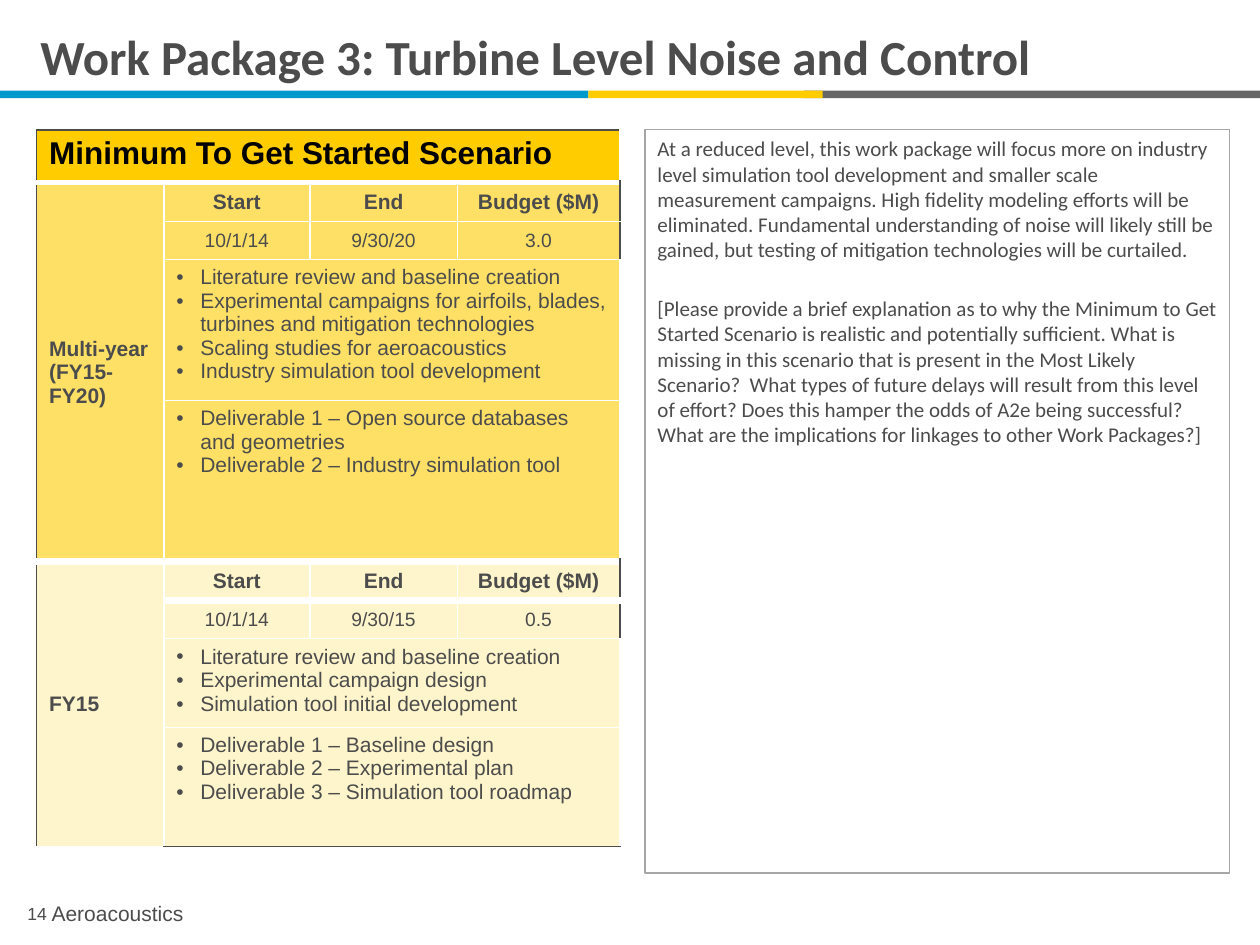
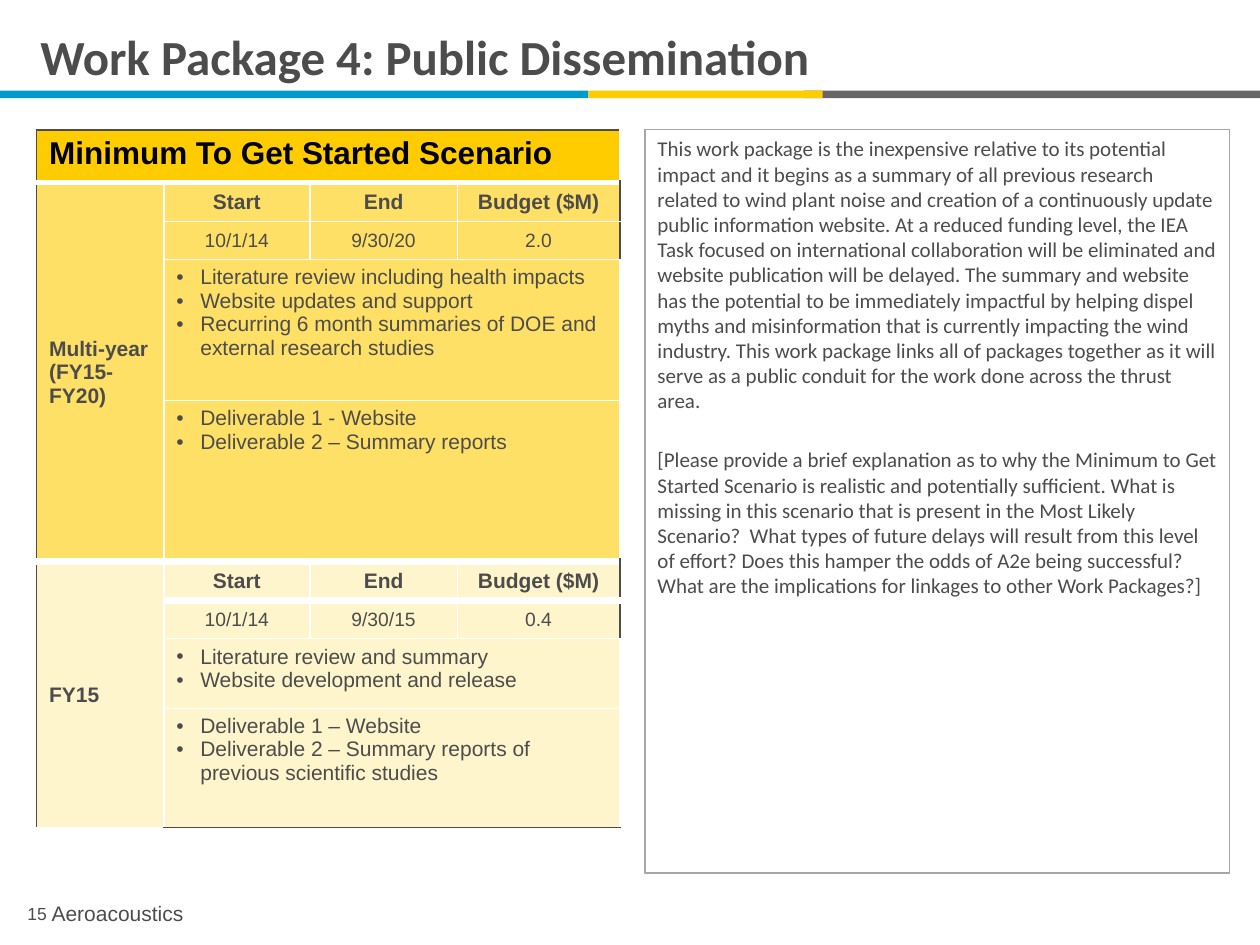
from lxml import etree
from pptx import Presentation
from pptx.dml.color import RGBColor
from pptx.enum.shapes import MSO_SHAPE
from pptx.enum.text import MSO_ANCHOR, PP_ALIGN
from pptx.oxml.ns import qn
from pptx.util import Inches, Pt

RECTANGLE = MSO_SHAPE.RECTANGLE
TOP, MIDDLE = MSO_ANCHOR.TOP, MSO_ANCHOR.MIDDLE
LEFT, CENTER = PP_ALIGN.LEFT, PP_ALIGN.CENTER

# Content
SCENARIO = "Minimum To Get Started Scenario"
COLUMN_HEADS = ("Start", "End", "Budget ($M)")
FOOTER = "Aeroacoustics"
FIRST_PAGE = 14
PROMPT = (
    "[Please provide a brief explanation as to why the Minimum to Get Started Scenario is "
    "realistic and potentially sufficient. What is missing in this scenario that is present in "
    "the Most Likely Scenario?  What types of future delays will result from this level of "
    "effort? Does this hamper the odds of A2e being successful? What are the implications for "
    "linkages to other Work Packages?]"
)
WORK_PACKAGES = [
    {
        "title": "Work Package 3: Turbine Level Noise and Control",
        "rationale": (
            "At a reduced level, this work package will focus more on industry level simulation "
            "tool development and smaller scale measurement campaigns. High fidelity modeling "
            "efforts will be eliminated. Fundamental understanding of noise will likely still be "
            "gained, but testing of mitigation technologies will be curtailed."
        ),
        "budgets": ("3.0", "0.5"),
        "tasks": (
            ["Literature review and baseline creation",
             "Experimental campaigns for airfoils, blades, turbines and mitigation technologies",
             "Scaling studies for aeroacoustics",
             "Industry simulation tool development"],
            ["Literature review and baseline creation",
             "Experimental campaign design",
             "Simulation tool initial development"],
        ),
        "deliverables": (
            ["Deliverable 1 – Open source databases and geometries",
             "Deliverable 2 – Industry simulation tool"],
            ["Deliverable 1 – Baseline design",
             "Deliverable 2 – Experimental plan",
             "Deliverable 3 – Simulation tool roadmap"],
        ),
    },
    {
        "title": "Work Package 4: Public Dissemination",
        "rationale": (
            "This work package is the inexpensive relative to its potential impact and it begins "
            "as a summary of all previous research related to wind plant noise and creation of a "
            "continuously update public information website. At a reduced funding level, the IEA "
            "Task focused on international collaboration will be eliminated and website "
            "publication will be delayed. The summary and website has the potential to be "
            "immediately impactful by helping dispel myths and misinformation that is currently "
            "impacting the wind industry. This work package links all of packages together as it "
            "will serve as a public conduit for the work done across the thrust area."
        ),
        "budgets": ("2.0", "0.4"),
        "tasks": (
            ["Literature review including health impacts",
             "Website updates and support",
             "Recurring 6 month summaries of DOE and external research studies"],
            ["Literature review and summary",
             "Website development and release"],
        ),
        "deliverables": (
            ["Deliverable 1 - Website",
             "Deliverable 2 – Summary reports"],
            ["Deliverable 1 – Website",
             "Deliverable 2 – Summary reports of previous scientific studies"],
        ),
    },
]

# Shared look
INK, BLACK, WHITE, PANEL_EDGE = "4C4C4C", "000000", "FFFFFF", "A6A6A6"
GOLD, BLUE, GREY = "FFCC00", "0099CC", "666666"
BANDS = [(0, 4.67, BLUE), (6.38, 3.62, GREY), (4.67, 1.86, GOLD)]
BAND_TOP, BAND_HEIGHT = 0.72, 0.06

# Scenario table: each period takes four rows below the heading row
PERIODS = [("Multi-year (FY15-FY20)", "10/1/14", "9/30/20", "FFE066"),
           ("FY15", "10/1/14", "9/30/15", "FFF5CC")]
ROWS_PER_PERIOD = 4
COLUMN_WIDTHS = [1.01, 1.16, 1.17, 1.29]
ROW_HEIGHTS = [0.42, 0.31, 0.3, 1.12, 1.28, 0.31, 0.3, 0.55, 0.95]
RULE_WEIGHTS = [1, 3, 1, 1, 0.5, 4.5, 4.5, 1, 0.5, 1]
BULLET_INDENT = 0.19


def color(hex_code):
    return RGBColor.from_string(hex_code)


def write(frame, text, size=12, font="Arial", ink=INK, bold=False, align=LEFT, anchor=TOP,
          bullet=False, before=0, after=0, spacing=None):
    """Fill a text frame with one string, or with one paragraph per list item."""
    frame.word_wrap = True
    frame.vertical_anchor = anchor
    lines = [text] if isinstance(text, str) else text
    for number, line in enumerate(lines):
        paragraph = frame.paragraphs[0] if number == 0 else frame.add_paragraph()
        paragraph.alignment = align
        paragraph.space_before = Pt(before if number else 0)
        paragraph.space_after = Pt(after)
        if spacing:
            paragraph.line_spacing = spacing
        if bullet:
            properties = paragraph._p.get_or_add_pPr()
            properties.set("marL", str(Inches(BULLET_INDENT)))
            properties.set("indent", str(-Inches(BULLET_INDENT)))
            etree.SubElement(properties, qn("a:buFont"), typeface="Arial")
            etree.SubElement(properties, qn("a:buChar"), char="•")
        run = paragraph.add_run()
        run.text = line
        run.font.size, run.font.name, run.font.bold = Pt(size), font, bold
        run.font.color.rgb = color(ink)


def add_text(slide, box, text, **style):
    textbox = slide.shapes.add_textbox(*map(Inches, box))
    write(textbox.text_frame, text, **style)
    return textbox


def add_bands(slide):
    for left, width, fill in BANDS:
        band = slide.shapes.add_shape(
            RECTANGLE, *map(Inches, (left, BAND_TOP, width, BAND_HEIGHT)))
        band.shadow.inherit = False
        band.fill.solid()
        band.fill.fore_color.rgb = color(fill)
        band.line.fill.background()


def add_title(slide, text):
    title = slide.shapes.title
    title.left, title.top, title.width, title.height = map(Inches, (0.22, 0, 9.54, 0.89))
    write(title.text_frame, text, size=28, font="Calibri", bold=True, anchor=MIDDLE)


def add_footer(slide, page):
    add_text(slide, (0.05, 7.14, 0.49, 0.26), str(page), size=10, align=CENTER, spacing=0.9)
    footer = add_text(slide, (0.41, 7.1, 7.74, 0.3), FOOTER, anchor=MIDDLE, after=6)
    footer.text_frame.margin_left = footer.text_frame.margin_right = 0


def add_border(cell, side, weight, ink):
    line = etree.SubElement(cell._tc.get_or_add_tcPr(), qn("a:ln" + side), w=str(Pt(weight)))
    fill = etree.SubElement(line, qn("a:solidFill"))
    etree.SubElement(fill, qn("a:srgbClr"), val=ink)


def period_of(row):
    return (row - 1) // ROWS_PER_PERIOD


def style_cell(table, row, column):
    """Draw the outer frame dark and inner rules white, leaving out edges inside merged cells."""
    cell = table.cell(row, column)
    last_row, last_column = len(ROW_HEIGHTS) - 1, len(COLUMN_WIDTHS) - 1
    step = (row - 1) % ROWS_PER_PERIOD
    wide = row == 0 or (step >= 2 and column > 0)
    tall = row > 0 and column == 0
    if column in (0, 1) or not wide:
        add_border(cell, "L", 1, INK if column == 0 else WHITE)
    if column == last_column or not wide or column == 0 < row:
        add_border(cell, "R", 1, INK if column == last_column else WHITE)
    if not tall or step == 0:
        # the side labels and the cells beside them share the period's top rule
        add_border(cell, "T", RULE_WEIGHTS[row], INK if row == 0 else WHITE)
    if not tall or step == ROWS_PER_PERIOD - 1:
        add_border(cell, "B", RULE_WEIGHTS[row + 1], INK if row == last_row else WHITE)
    cell.fill.solid()
    cell.fill.fore_color.rgb = color(PERIODS[period_of(row)][-1] if row else GOLD)


def fill_cell(table, row, column, text, anchor=MIDDLE, **style):
    cell = table.cell(row, column)
    write(cell.text_frame, text, **style)
    cell.vertical_anchor = anchor


def add_scenario_table(slide, package):
    frame = slide.shapes.add_table(
        len(ROW_HEIGHTS), len(COLUMN_WIDTHS),
        *map(Inches, (0.29, 1.03, sum(COLUMN_WIDTHS), sum(ROW_HEIGHTS))))
    table = frame.table
    table.first_row = table.horz_banding = False
    for column, width in enumerate(COLUMN_WIDTHS):
        table.columns[column].width = Inches(width)
    for row, height in enumerate(ROW_HEIGHTS):
        table.rows[row].height = Inches(height)
        for column in range(len(COLUMN_WIDTHS)):
            style_cell(table, row, column)

    table.cell(0, 0).merge(table.cell(0, 3))
    fill_cell(table, 0, 0, SCENARIO, anchor=TOP, size=18, ink=BLACK, bold=True)
    for index, (label, start, end, _) in enumerate(PERIODS):
        head = 1 + index * ROWS_PER_PERIOD
        table.cell(head, 0).merge(table.cell(head + ROWS_PER_PERIOD - 1, 0))
        fill_cell(table, head, 0, label, bold=True)
        values = (start, end, package["budgets"][index])
        for column, (name, value) in enumerate(zip(COLUMN_HEADS, values), 1):
            fill_cell(table, head, column, name, bold=True, align=CENTER)
            fill_cell(table, head + 1, column, value, size=11, align=CENTER)
        for row, part in enumerate(("tasks", "deliverables"), head + 2):
            table.cell(row, 1).merge(table.cell(row, 3))
            fill_cell(table, row, 1, package[part][index], anchor=TOP, bullet=True)


def add_rationale(slide, text):
    panel = add_text(slide, (5.12, 1.03, 4.64, 5.9), [text, PROMPT], font="Calibri", before=19.3)
    panel.line.color.rgb = color(PANEL_EDGE)
    panel.line.width = Pt(0.75)


def main():
    deck = Presentation()
    deck.slide_width, deck.slide_height = Inches(10), Inches(7.5)
    title_only = deck.slide_layouts.get_by_name("Title Only")
    for page, package in enumerate(WORK_PACKAGES, FIRST_PAGE):
        slide = deck.slides.add_slide(title_only)
        add_bands(slide)
        add_title(slide, package["title"])
        add_footer(slide, page)
        add_scenario_table(slide, package)
        add_rationale(slide, package["rationale"])
    deck.save("out.pptx")


if __name__ == "__main__":
    main()
